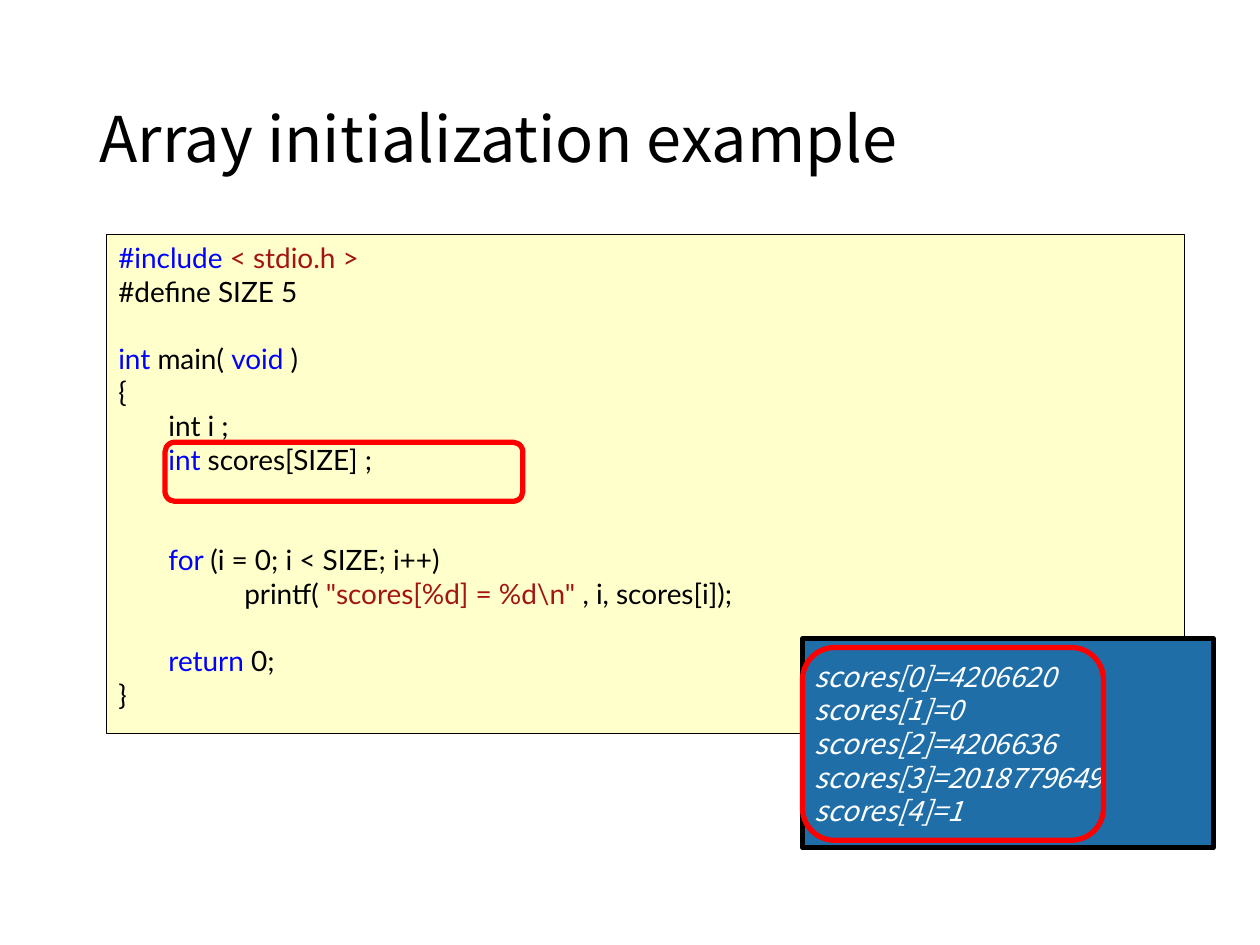
from dataclasses import dataclass

import pptx
import pptx.dml.color
import pptx.enum.shapes
import pptx.enum.text
import pptx.util

Pt = pptx.util.Pt
Kind = pptx.enum.shapes.MSO_SHAPE
Anchor = pptx.enum.text.MSO_ANCHOR
Align = pptx.enum.text.PP_ALIGN

BLACK, WHITE, RED = "000000", "FFFFFF", "FF0000"
BLUE, BROWN = "0000FF", "A31515"
LATO, NOTO = "Lato", "Noto Sans CJK KR"
STEP = 19.2  # height of one code line
BODY, LOOP = 28.7, 72  # code indents


@dataclass
class Box:
    left: float
    top: float
    width: float
    height: float
    line: str
    weight: float
    fill: str | None = None
    kind: int = Kind.RECTANGLE


@dataclass
class Line:
    runs: list[tuple[str, str]]
    indent: float = 0
    gap: int = 0  # empty lines above


@dataclass
class Style:
    font: str
    size: float
    anchor: int
    italic: bool = False
    pitch: float | None = None


def paint(color, code: str) -> None:
    color.rgb = pptx.dml.color.RGBColor.from_string(code)


def draw(slide, box: Box):
    shape = slide.shapes.add_shape(
        box.kind, Pt(box.left), Pt(box.top), Pt(box.width), Pt(box.height))
    shape.shadow.inherit = False
    if box.fill:
        shape.fill.solid()
        paint(shape.fill.fore_color, box.fill)
    else:
        shape.fill.background()
    paint(shape.line.color, box.line)
    shape.line.width = Pt(box.weight)
    return shape


def write(shape, lines: list[Line], style: Style) -> None:
    frame = shape.text_frame
    frame.word_wrap = True
    frame.vertical_anchor = style.anchor
    for n, line in enumerate(lines):
        para = frame.add_paragraph() if n else frame.paragraphs[0]
        para.alignment = Align.LEFT
        para.space_before = Pt(line.gap * STEP)
        if style.pitch:
            para.line_spacing = style.pitch
        if line.indent:
            props = para._p.get_or_add_pPr()
            props.set("marL", str(Pt(line.indent)))
            props.set("indent", "0")
        for text, color in line.runs:
            run = para.add_run()
            run.text = text
            run.font.name = style.font
            run.font.size = Pt(style.size)
            run.font.italic = style.italic
            paint(run.font.color, color)


CODE = [
    Line([("#include ", BLUE), ("< stdio.h >", BROWN)]),
    Line([("#define SIZE 5", BLACK)]),
    Line([("int ", BLUE), ("main( ", BLACK), ("void ", BLUE), (")", BLACK)], gap=1),
    Line([("{", BLACK)]),
    Line([("int i ;", BLACK)], BODY),
    Line([("int ", BLUE), ("scores[SIZE] ;", BLACK)], BODY),
    Line([("for ", BLUE), ("(i = 0; i < SIZE; i++)", BLACK)], BODY, 2),
    Line([("printf( ", BLACK), ('"scores[%d] = %d\\n" ', BROWN),
          (", i, scores[i]);", BLACK)], LOOP),
    Line([("return ", BLUE), ("0;", BLACK)], BODY, 1),
    Line([("}", BLACK)]),
]
SCORES = [4206620, 0, 4206636, 2018779649, 1]


def main() -> None:
    deck = pptx.Presentation()
    deck.slide_width, deck.slide_height = Pt(720), Pt(540)
    slide = deck.slides.add_slide(deck.slide_layouts[6])

    # Code panel
    panel = draw(slide, Box(60.5, 134, 616.5, 285, BLACK, 0.25, "FFFFCC"))
    write(panel, CODE, Style(LATO, 16, Anchor.TOP))

    # Title
    title = slide.shapes.add_textbox(Pt(49.7), Pt(28.8), Pt(620.6), Pt(104.4))
    write(title, [Line([("Array initialization example", BLACK)])],
          Style(NOTO, 36, Anchor.MIDDLE, pitch=0.9))

    # Frame around the declaration
    draw(slide, Box(94.3, 252.7, 204.5, 33.8, RED, 3, kind=Kind.ROUNDED_RECTANGLE))

    # Program output and its frame
    output = draw(slide, Box(458.6, 365, 234.7, 119.5, BLACK, 3, "1F6EA7"))
    rows = [Line([(f"scores[{n}]={score}", WHITE)]) for n, score in enumerate(SCORES)]
    write(output, rows, Style(NOTO, 16, Anchor.MIDDLE, italic=True))
    draw(slide, Box(458.6, 370, 172, 110.2, RED, 3, kind=Kind.ROUNDED_RECTANGLE))

    deck.save("out.pptx")


if __name__ == "__main__":
    main()
